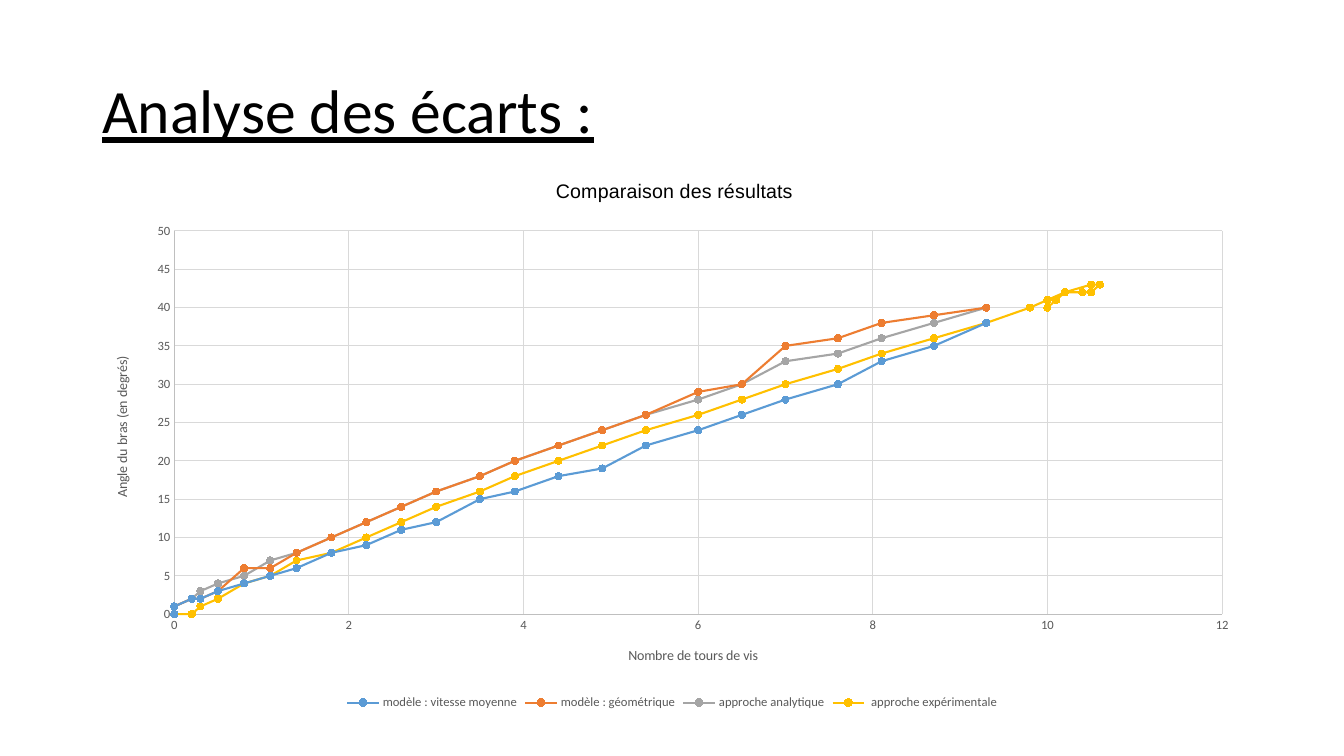
from itertools import zip_longest
from lxml.etree import SubElement
from pptx import Presentation
from pptx.chart.data import XyChartData
from pptx.dml.color import RGBColor
from pptx.enum.chart import XL_CHART_TYPE, XL_LEGEND_POSITION, XL_MARKER_STYLE, XL_TICK_MARK
from pptx.enum.text import MSO_ANCHOR
from pptx.oxml import parse_xml
from pptx.oxml.ns import nsdecls, qn
from pptx.util import Pt

PX = 9525  # 96 px to the inch
CHART_WIDTH, CHART_HEIGHT = 1104, 524
COLORS = {
    "black": "000000", "label": "595959", "axis": "BFBFBF", "grid": "D9D9D9",
    "blue": "5B9BD5", "orange": "ED7D31", "grey": "A5A5A5", "gold": "FFC000",
}

screw_turns = [
    0, 0, 0.2, 0.3, 0.5, 0.8, 1.1, 1.4, 1.8, 2.2, 2.6, 3,
    3.5, 3.9, 4.4, 4.9, 5.4, 6, 6.5, 7, 7.6, 8.1, 8.7, 9.3,
    9.8, 10.2, 10.5, 10.6, 10.6, 10.5, 10.4, 10.2, 10.1, 10, 10, 10,
    10, 10, 10, 10.1, 10.1, 10.1, 10.1, 10.1, 10.1, 10.1, 10.1, 10.1,
]
arm_angles = [
    ("modèle : vitesse moyenne", "blue", [
        0, 1, 2, 2, 3, 4, 5, 6, 8, 9, 11, 12,
        15, 16, 18, 19, 22, 24, 26, 28, 30, 33, 35, 38]),
    ("modèle : géométrique", "orange", [
        0, 1, 2, 2, 3, 6, 6, 8, 10, 12, 14, 16,
        18, 20, 22, 24, 26, 29, 30, 35, 36, 38, 39, 40]),
    ("approche analytique", "grey", [
        0, 1, 2, 3, 4, 5, 7, 8, 10, 12, 14, 16,
        18, 20, 22, 24, 26, 28, 30, 33, 34, 36, 38, 40]),
    (" approche expérimentale", "gold", [
        0, 0, 0, 1, 2, 4, 5, 7, 8, 10, 12, 14,
        16, 18, 20, 22, 24, 26, 28, 30, 32, 34, 36, 38,
        40, 42, 43, 43, 43, 42, 42, 42, 41, 41, 40, 40,
        40, 40, 40, 41, 41, 41, 41, 41, 41, 41, 41, 41]),
]


def style_font(font, size, color, name="Calibri"):
    font.size = Pt(size)
    font.name = name
    font.bold = False
    font.color.rgb = RGBColor.from_string(COLORS[color])


def place(element, **lengths):
    """Fix a chart part's position, in px from the chart's top left corner."""
    layout = element.find(qn("c:layout"))
    if layout is None:
        layout = parse_xml(f"<c:layout {nsdecls('c')}/>")
        element.insert(1 if element.find(qn("c:tx")) is not None else 0, layout)
    manual = SubElement(layout, qn("c:manualLayout"))
    if "w" in lengths:
        SubElement(manual, qn("c:layoutTarget")).set("val", "inner")
    for mode in ("xMode", "yMode"):
        SubElement(manual, qn(f"c:{mode}")).set("val", "edge")
    for side, length in lengths.items():
        whole = CHART_WIDTH if side in "xw" else CHART_HEIGHT
        SubElement(manual, qn(f"c:{side}")).set("val", str(length / whole))


prs = Presentation()
prs.slide_width = 1280 * PX
prs.slide_height = 720 * PX
slide = prs.slides.add_slide(prs.slide_layouts[6])

heading = slide.shapes.add_textbox(88 * PX, 39 * PX, 1104 * PX, 139 * PX).text_frame
heading.word_wrap = True
heading.vertical_anchor = MSO_ANCHOR.MIDDLE
heading.paragraphs[0].line_spacing = 0.9
heading_run = heading.paragraphs[0].add_run()
heading_run.text = "Analyse des écarts :"
style_font(heading_run.font, 44, "black")
heading_run.font.underline = True

results = XyChartData()
for name, _, angles in arm_angles:
    series_data = results.add_series(name)
    for turns, angle in zip_longest(screw_turns, angles):
        series_data.add_data_point(turns, angle)
chart = slide.shapes.add_chart(
    XL_CHART_TYPE.XY_SCATTER_LINES,
    88 * PX, 156 * PX, CHART_WIDTH * PX, CHART_HEIGHT * PX, results).chart
style_font(chart.font, 10, "black")

# Turns without a measured angle stay empty
for point in list(chart._chartSpace.iter(qn("c:pt"))):
    if point.findtext(qn("c:v")) in ("None", "", None):
        point.getparent().remove(point)

chart.has_title = True
chart_title_run = chart.chart_title.text_frame.paragraphs[0].add_run()
chart_title_run.text = "Comparaison des résultats"
style_font(chart_title_run.font, 14, "black", "Arial")
place(chart.chart_title._element, x=438, y=10)

chart.has_legend = True
chart.legend.position = XL_LEGEND_POSITION.BOTTOM
chart.legend.include_in_layout = False
style_font(chart.legend.font, 9, "label")

for axis, label, top, step, rotation, x, y in (
    (chart.category_axis, "Nombre de tours de vis", 12, 2, 0, 508, 457),
    (chart.value_axis, "Angle du bras (en degrés)", 50, 5, -5400000, 17, 181),
):
    axis.minimum_scale, axis.maximum_scale, axis.major_unit = 0, top, step
    axis.major_tick_mark = axis.minor_tick_mark = XL_TICK_MARK.NONE
    axis.has_major_gridlines = True
    for line, color in ((axis.format.line, "axis"), (axis.major_gridlines.format.line, "grid")):
        line.width = Pt(0.75)
        line.color.rgb = RGBColor.from_string(COLORS[color])
    style_font(axis.tick_labels.font, 9, "label")
    axis.tick_labels.number_format = "General"
    axis.tick_labels.number_format_is_linked = False
    axis_title = axis.axis_title
    label_run = axis_title.text_frame.paragraphs[0].add_run()
    label_run.text = label
    style_font(label_run.font, 10, "label")
    axis_title._element.find(".//" + qn("a:bodyPr")).set("rot", str(rotation))
    place(axis_title._element, x=x, y=y)

place(chart._chartSpace.find(".//" + qn("c:plotArea")), x=78, y=64, w=998, h=365)

for series, (_, color, _) in zip(chart.plots[0].series, arm_angles):
    rgb = RGBColor.from_string(COLORS[color])
    series.smooth = False
    series.format.line.width = Pt(1.5)
    series.format.line.color.rgb = rgb
    series.marker.style = XL_MARKER_STYLE.CIRCLE
    series.marker.size = 5
    series.marker.format.fill.solid()
    series.marker.format.fill.fore_color.rgb = rgb
    series.marker.format.line.color.rgb = rgb

prs.save("out.pptx")
